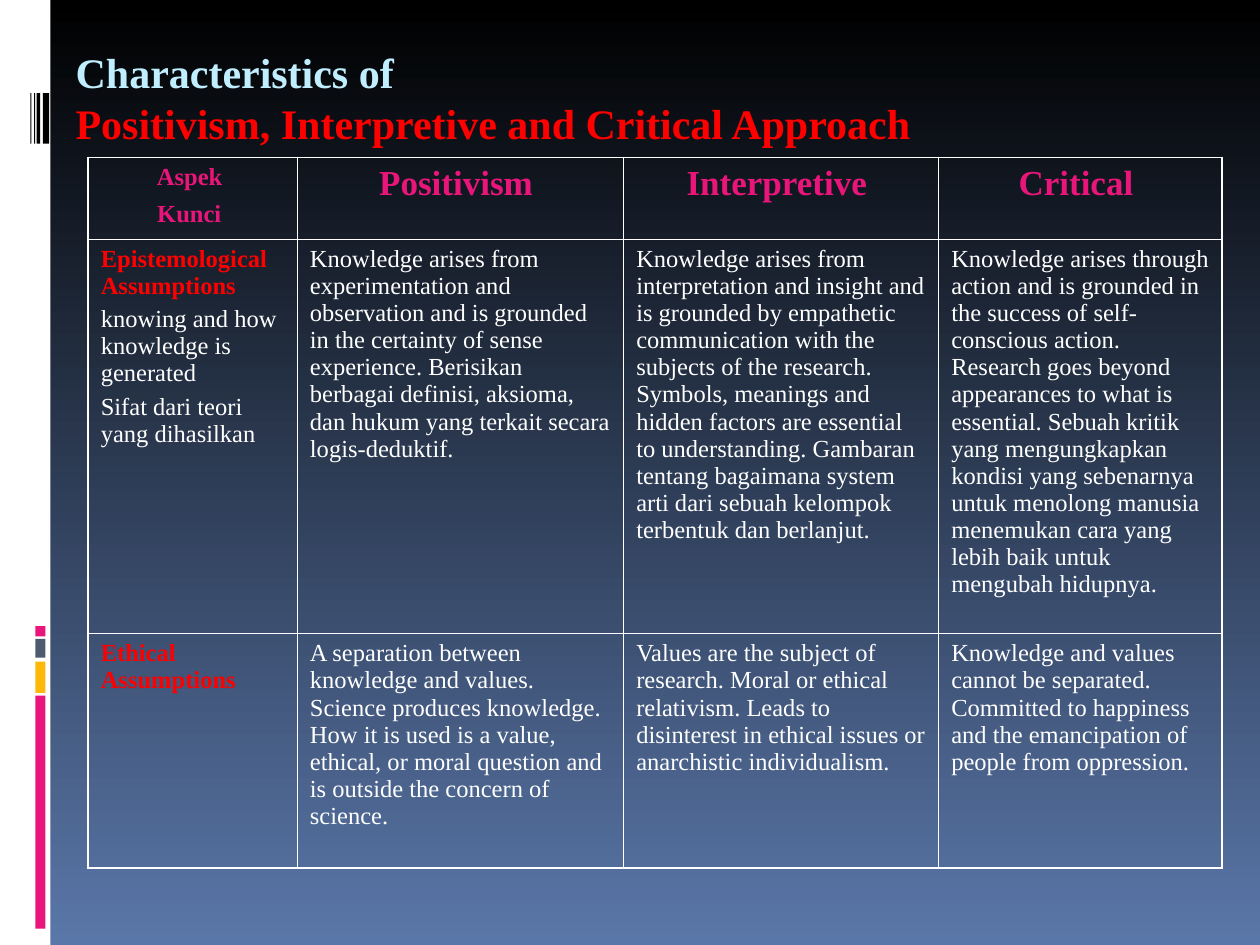
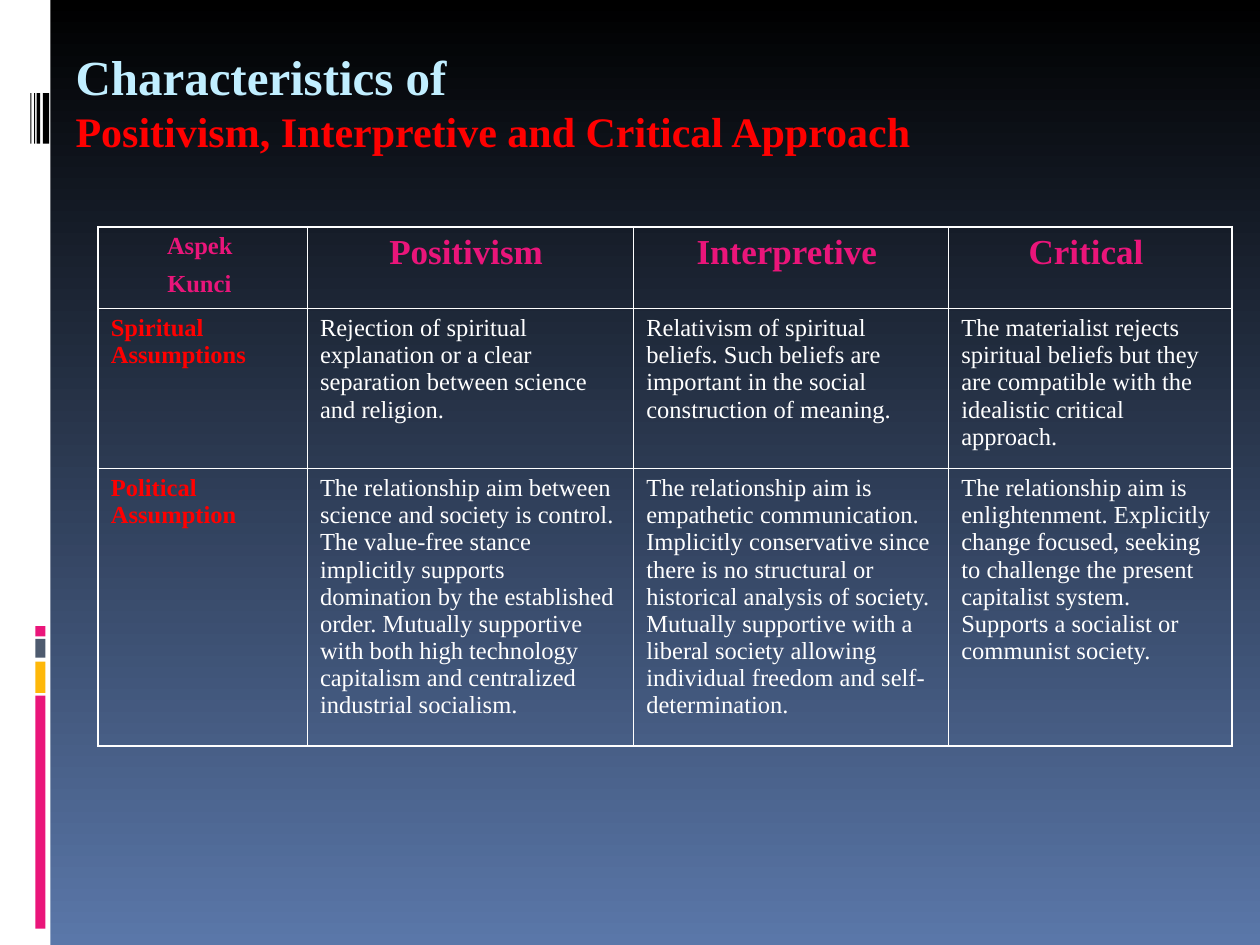
"""Build two slides comparing positivist, interpretive and critical research."""
from dataclasses import dataclass

from lxml.etree import SubElement
from pptx import Presentation
from pptx.dml.color import RGBColor
from pptx.enum.shapes import MSO_SHAPE
from pptx.enum.text import MSO_ANCHOR, MSO_AUTO_SIZE, PP_ALIGN
from pptx.oxml.ns import qn
from pptx.util import Inches, Pt


@dataclass(frozen=True)
class Theme:
    """Colours, font, type sizes and line widths."""
    font: str = "Times New Roman"
    white: str = "FFFFFF"
    black: str = "000000"
    blue: str = "5A77A9"
    sky: str = "C1EEFF"
    red: str = "FF0000"
    pink: str = "EA157A"
    amber: str = "FEB80A"
    slate: str = "4E5B6F"
    title: int = 24
    head: int = 20
    body: int = 14
    gap: float = 3.5
    outer: float = 1.08
    inner: float = 0.45


T = Theme()
TITLE = ("Characteristics of ", "Positivism, Interpretive and Critical Approach")
KEY_HEAD = ("Aspek ", "Kunci")
HEADS = ("Positivism ", "Interpretive ", "Critical ")
COL_WIDTHS = (1.66, 2.59, 2.5, 2.25)

SLIDES = [
    dict(lead_size=24, title_height=0.91, table_at=(0.7, 1.25), heights=(0.65, 3.13, 1.86), rows=[
        (("Epistemological Assumptions", "knowing and how knowledge is generated",
          "Sifat dari teori yang dihasilkan"),
         "Knowledge arises from experimentation and observation and is grounded in the certainty of "
         "sense experience. Berisikan berbagai definisi, aksioma, dan hukum yang terkait secara "
         "logis-deduktif.",
         "Knowledge arises from interpretation and insight and is grounded by empathetic "
         "communication with the subjects of the research. Symbols, meanings and hidden factors are "
         "essential to understanding. Gambaran tentang bagaimana system arti dari sebuah kelompok "
         "terbentuk dan berlanjut.",
         "Knowledge arises through action and is grounded in the success of self-conscious action. "
         "Research goes beyond appearances to what is essential. Sebuah kritik yang mengungkapkan "
         "kondisi yang sebenarnya untuk menolong manusia menemukan cara yang lebih baik untuk "
         "mengubah hidupnya."),
        (("Ethical Assumptions",),
         "A separation between knowledge and values. Science produces knowledge. How it is used is "
         "a value, ethical, or moral question and is outside the concern of science.",
         "Values are the subject of research. Moral or ethical relativism. Leads to disinterest in "
         "ethical issues or anarchistic individualism.",
         "Knowledge and values cannot be separated. Committed to happiness and the emancipation of "
         "people from oppression."),
    ]),
    dict(lead_size=28, title_height=1.3, table_at=(0.78, 1.8), heights=(0.65, 1.27, 2.2), rows=[
        (("Spiritual Assumptions",),
         "Rejection of spiritual explanation or a clear separation between science and religion.",
         "Relativism of spiritual beliefs. Such beliefs are important in the social construction of "
         "meaning.",
         "The materialist rejects spiritual beliefs but they are compatible with the idealistic "
         "critical approach."),
        (("Political Assumption ",),
         "The relationship aim between science and society is control. The value-free stance "
         "implicitly supports domination by the established order. Mutually supportive with both "
         "high technology capitalism and centralized industrial socialism.",
         "The relationship aim is empathetic communication. Implicitly conservative since there is "
         "no structural or historical analysis of society. Mutually supportive with a liberal "
         "society allowing individual freedom and self-determination.",
         "The relationship aim is enlightenment. Explicitly change focused, seeking to challenge "
         "the present capitalist system. Supports a socialist or communist society."),
    ]),
]

SIDE_BAND = [(0, 0, 0.4, 7.5, T.white)]
COLOUR_BARS = [(0.28, top, 0.08, height, color) for top, height, color in (
    (5.52, 1.85, T.pink), (5.25, 0.25, T.amber), (5.07, 0.15, T.slate), (4.97, 0.08, T.pink))]
BARCODE = [(left, 0.74, width, 0.4, T.black) for left, width in (
    (0.34, 0.05), (0.29, 0.03), (0.27, 0.01), (0.24, 0.01))]


def add_text(p, text, size=T.body, color=T.white, bold=False, align=PP_ALIGN.LEFT):
    """Append a formatted run to a paragraph."""
    p.alignment = align
    r = p.add_run()
    r.text = text
    r.font.name, r.font.size, r.font.bold = T.font, Pt(size), bold
    r.font.color.rgb = RGBColor.from_string(color)


def next_paragraph(tf, index, gap=T.gap):
    """Return the first paragraph, or a new one set apart from the last."""
    if index == 0:
        return tf.paragraphs[0]
    p = tf.add_paragraph()
    p.space_before = Pt(gap)
    return p


def decorate_master(master, slide):
    """Give the master its gradient, side band, colour bars and barcode."""
    fill = master.background.fill
    fill.gradient()
    fill.gradient_angle = 270
    for stop, position, color in zip(fill.gradient_stops, (0, 1), (T.black, T.blue)):
        stop.position = position
        stop.color.rgb = RGBColor.from_string(color)
    for i, (*box, color) in enumerate(SIDE_BAND + COLOUR_BARS + BARCODE):
        sp = slide.shapes.add_shape(MSO_SHAPE.RECTANGLE, *map(Inches, box))
        sp.shadow.inherit = False
        sp.fill.solid()
        sp.fill.fore_color.rgb = RGBColor.from_string(color)
        sp.line.fill.background()
        master.shapes.element.insert(2 + i, sp.element)


def add_title(slide, lead_size, height):
    """Fill the title placeholder with its two lines."""
    sp = slide.shapes.title
    sp.left, sp.top, sp.width, sp.height = map(Inches, (0.5, 0.32, 9, height))
    tf = sp.text_frame
    tf.word_wrap, tf.auto_size = True, MSO_AUTO_SIZE.NONE
    tf.vertical_anchor = MSO_ANCHOR.TOP
    p = tf.paragraphs[0]
    add_text(p, TITLE[0], size=lead_size, color=T.sky, bold=True)
    p.add_line_break()
    add_text(p, TITLE[1], size=T.title, color=T.red, bold=True)


def frame_cell(cell, on_edge):
    """Draw thick borders on the table's edge and thin ones inside it."""
    tcPr = cell._tc.get_or_add_tcPr()
    for side in "LRTB":
        width = T.outer if on_edge[side] else T.inner
        ln = SubElement(tcPr, qn(f"a:ln{side}"), w=str(Pt(width)))
        SubElement(SubElement(ln, qn("a:solidFill")), qn("a:srgbClr"), val=T.white)
    cell.fill.background()


def fill_cell(tf, row, col, content):
    """Write a header, a row label or a plain cell."""
    if row == 0 and col == 0:
        for i, text in enumerate(content):
            p = next_paragraph(tf, i, gap=4)
            add_text(p, text, color=T.pink, bold=True, align=PP_ALIGN.CENTER)
        add_text(p, " ", size=16, color=T.pink, align=PP_ALIGN.CENTER)
    elif row == 0:
        add_text(tf.paragraphs[0], content, size=T.head, color=T.pink, bold=True,
                 align=PP_ALIGN.CENTER)
    elif col == 0:
        for i, text in enumerate(content):
            add_text(next_paragraph(tf, i), text, color=T.white if i else T.red, bold=i == 0)
    else:
        add_text(tf.paragraphs[0], content)


def add_comparison(slide, at, heights, rows):
    """Add the table of approaches."""
    grid = [(KEY_HEAD, *HEADS), *rows]
    last_row, last_col = len(grid) - 1, len(COL_WIDTHS) - 1
    size = (sum(COL_WIDTHS), sum(heights))
    table = slide.shapes.add_table(len(grid), len(COL_WIDTHS), *map(Inches, at + size)).table
    table.first_row = table.horz_banding = False
    for column, width in zip(table.columns, COL_WIDTHS):
        column.width = Inches(width)
    for row, height in zip(table.rows, heights):
        row.height = Inches(height)
    for r, contents in enumerate(grid):
        for c, content in enumerate(contents):
            cell = table.cell(r, c)
            frame_cell(cell, dict(L=c == 0, R=c == last_col, T=r == 0, B=r == last_row))
            fill_cell(cell.text_frame, r, c, content)


def main():
    """Build and save the presentation."""
    prs = Presentation()
    prs.slide_width, prs.slide_height = Inches(10), Inches(7.5)
    for i, data in enumerate(SLIDES):
        slide = prs.slides.add_slide(prs.slide_layouts[5])
        if i == 0:
            decorate_master(prs.slide_master, slide)
        add_title(slide, data["lead_size"], data["title_height"])
        add_comparison(slide, data["table_at"], data["heights"], data["rows"])
    prs.save("out.pptx")


if __name__ == "__main__":
    main()
